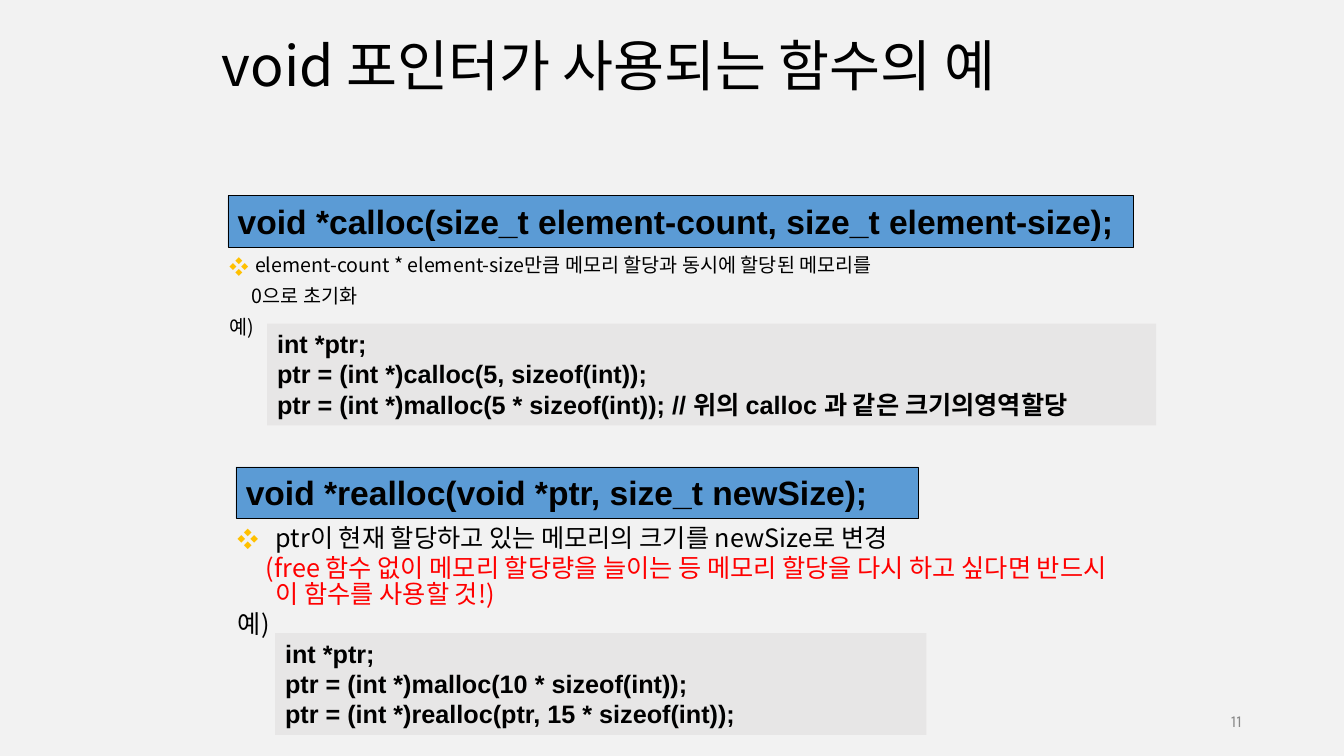
from dataclasses import dataclass
from lxml.etree import SubElement as Sub
from pptx import Presentation
from pptx.dml.color import RGBColor as RGB
from pptx.enum.shapes import MSO_SHAPE as Kind
from pptx.enum.text import MSO_ANCHOR as Anchor, MSO_AUTO_SIZE as Fit, PP_ALIGN as Align
from pptx.oxml.ns import qn
from pptx.util import Pt

# Content; boxes are left, top, width, height in points
TITLE = "void 포인터가 사용되는 함수의 예"
TITLE_BOX = (151.2, 4.3, 648, 90)
PAGE = "11"
PAGE_BOX = (678.2, 500.4, 216, 28.8)

# Notes hold text, left margin, first-line indent, bullet flag, colour
PARTS = [
    dict(
        head="void *calloc(size_t element-count, size_t element-size);",
        head_box=(162.7, 139.7, 646.6, 36.7),
        notes=[
            ("element-count * element-size만큼 메모리 할당과 동시에 할당된 메모리를", 18, -18, True, "ink"),
            ("0으로 초기화", 15.5, 0, False, "ink"),
            ("예)", 0, 0, False, "ink"),
        ],
        note_box=(157, 179.3, 648, 51.1),
        size="small", line=0.9, gap=7, mark=100,
        code=[
            "int *ptr;",
            "ptr = (int *)calloc(5, sizeof(int));",
            "ptr = (int *)malloc(5 * sizeof(int)); // 위의 calloc 과 같은 크기의영역할당",
        ],
        code_box=(190.8, 231.1, 635, 72.7),
    ),
    dict(
        head="void *realloc(void *ptr, size_t newSize);",
        head_box=(168.5, 333.4, 487.4, 36.7),
        notes=[
            ("ptr이 현재 할당하고 있는 메모리의 크기를 newSize로 변경", 27, -27, True, "ink"),
            ("(free 함수 없이 메모리 할당량을 늘이는 등 메모리 할당을 다시 하고 싶다면 "
             "반드시 이 함수를 사용할 것!)", 27, -7, False, "alert"),
            ("예)", 0, 0, False, "ink"),
        ],
        note_box=(162.7, 373, 648, 78.5),
        size="text", line=0.85, gap=3, mark=85,
        code=[
            "int *ptr;",
            "ptr = (int *)malloc(10 * sizeof(int));",
            "ptr = (int *)realloc(ptr, 15 * sizeof(int));",
        ],
        code_box=(196.6, 452.2, 465.1, 72.7),
    ),
]


@dataclass(frozen=True)
class Theme:
    back: str = "F2F2F2"
    ink: str = "000000"
    alert: str = "FF0000"
    mark: str = "FFC000"
    band: str = "5B9BD5"
    pane: str = "E7E6E6"
    dim: str = "898989"
    sans: str = "Noto Sans CJK KR"
    mono: str = "Arial"
    num: str = "Karla"
    title: float = 39.6
    head: float = 24
    text: float = 18
    small: float = 14
    page: float = 12


T = Theme()


def place(shape, box):
    shape.left, shape.top, shape.width, shape.height = map(Pt, box)


def style(para, face, size, color, bold=False):
    font = para.font
    font.name, font.size, font.bold = face, Pt(size), bold
    font.color.rgb = RGB.from_string(color)
    props = para._p.pPr.find(qn("a:defRPr"))
    Sub(props, qn("a:ea"), typeface=T.sans)


def lines(frame, texts):
    frame.word_wrap = True
    frame.text = "\n".join(texts)
    return frame.paragraphs


def bullet(para, left, first, shown, scale):
    props = para._p.get_or_add_pPr()
    props.set("marL", str(Pt(left)))
    props.set("indent", str(Pt(first)))
    if not shown:
        Sub(props, qn("a:buNone"))
        return
    Sub(Sub(props, qn("a:buClr")), qn("a:srgbClr"), val=T.mark)
    Sub(props, qn("a:buSzPct"), val=str(scale * 1000))
    Sub(props, qn("a:buFont"), typeface=T.sans)
    Sub(props, qn("a:buChar"), char="❖")


def panel(slide, box, texts, size, color, edged=False):
    shape = slide.shapes.add_shape(Kind.RECTANGLE, *map(Pt, box))
    shape.shadow.inherit = False
    shape.fill.solid()
    shape.fill.fore_color.rgb = RGB.from_string(color)
    if edged:
        shape.line.color.rgb = RGB.from_string(T.ink)
        shape.line.width = Pt(0.25)
    else:
        shape.line.fill.background()
    frame = shape.text_frame
    frame.vertical_anchor = Anchor.TOP
    for para in lines(frame, texts):
        para.alignment = Align.LEFT
        style(para, T.mono, size, T.ink, bold=True)


def notes(shape, part):
    place(shape, part["note_box"])
    frame = shape.text_frame
    frame.auto_size = Fit.NONE
    frame.vertical_anchor = Anchor.TOP
    frame.margin_right = Pt(20)
    paras = lines(frame, [note[0] for note in part["notes"]])
    for i, (para, note) in enumerate(zip(paras, part["notes"])):
        _, left, first, shown, color = note
        para.line_spacing = part["line"]
        para.space_before = Pt(part["gap"] if i else 0)
        bullet(para, left, first, shown, part["mark"])
        style(para, T.sans, getattr(T, part["size"]), getattr(T, color))


def main():
    deck = Presentation()
    deck.slide_width, deck.slide_height = Pt(960), Pt(540)
    slide = deck.slides.add_slide(deck.slide_layouts[3])
    slide.background.fill.solid()
    slide.background.fill.fore_color.rgb = RGB.from_string(T.back)

    # Title
    title = slide.shapes.title
    place(title, TITLE_BOX)
    title.text_frame.auto_size = Fit.NONE
    title.text_frame.vertical_anchor = Anchor.MIDDLE
    para = lines(title.text_frame, [TITLE])[0]
    para.alignment, para.line_spacing = Align.LEFT, 0.9
    style(para, T.sans, T.title, T.ink)

    # One prototype, notes and example per function
    for i, part in enumerate(PARTS, 1):
        notes(slide.placeholders[i], part)
        panel(slide, part["code_box"], part["code"], T.text, T.pane)
        panel(slide, part["head_box"], [part["head"]], T.head, T.band, edged=True)

    # Page number
    page = slide.shapes.add_textbox(*map(Pt, PAGE_BOX))
    page.text_frame.vertical_anchor = Anchor.MIDDLE
    para = lines(page.text_frame, [PAGE])[0]
    para.alignment = Align.RIGHT
    style(para, T.num, T.page, T.dim)

    deck.save("out.pptx")


if __name__ == "__main__":
    main()
